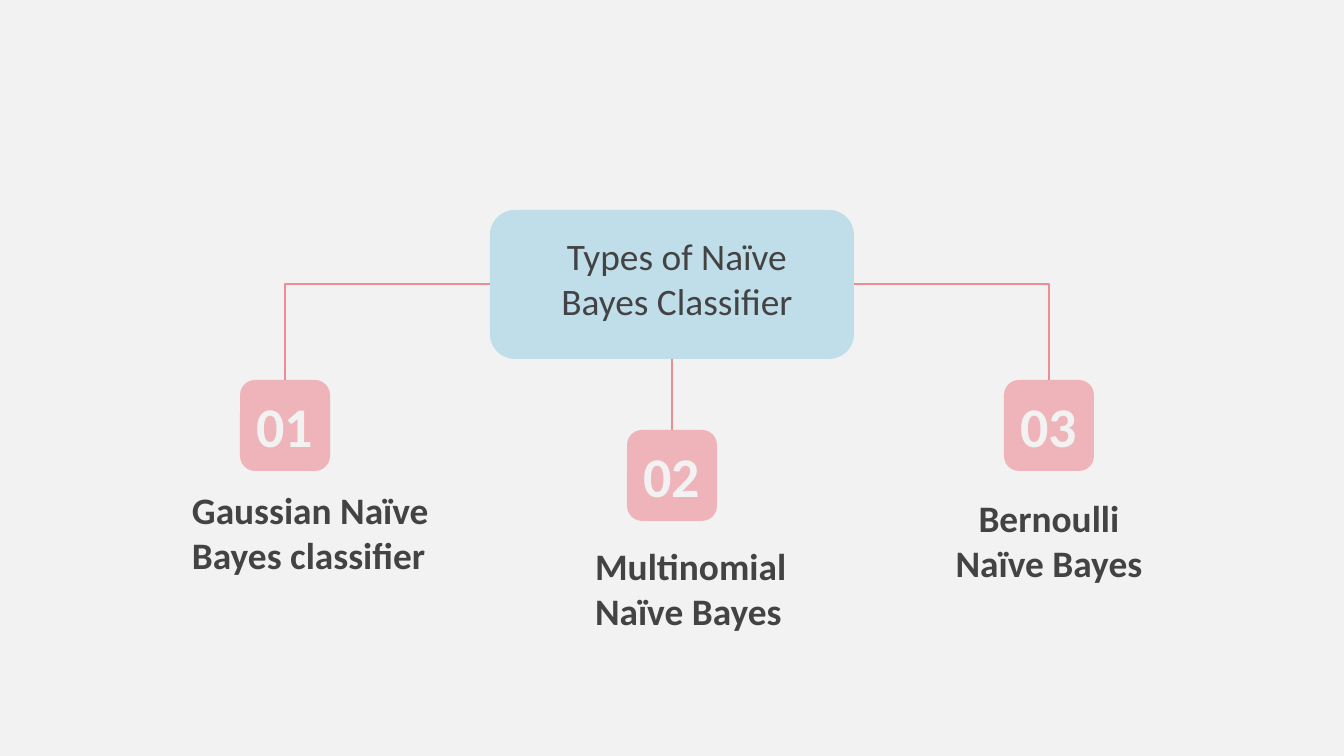
from lxml.etree import SubElement
from pptx import Presentation
from pptx.dml.color import RGBColor
from pptx.enum.shapes import MSO_CONNECTOR as CONN, MSO_SHAPE as SHAPE
from pptx.enum.text import MSO_ANCHOR as ANCHOR, MSO_AUTO_SIZE as AUTO, PP_ALIGN as ALIGN
from pptx.oxml.ns import qn
from pptx.util import Emu, Pt

PAPER = RGBColor(0xF2, 0xF2, 0xF2)
INK = RGBColor(0x43, 0x43, 0x43)
BLUE = RGBColor(0xAE, 0xD7, 0xE8)
PINK = RGBColor(0xEE, 0x8C, 0x94)

ROOT = (490, 210, 364, 149)
BOX_W, BOX_H = 90, 91
BRANCHES = [
    ("01", (240, 380), "Gaussian Naïve Bayes classifier", (-61, 94, 267), ALIGN.LEFT),
    ("02", (627, 430), "Multinomial Naïve Bayes", (-45, 100, 230), ALIGN.LEFT),
    ("03", (1004, 380), "Bernoulli Naïve Bayes", (-70, 102, 230), ALIGN.CENTER),
]


def px(n):
    """Turn px into EMU."""
    return Emu(round(n * 914400 / 134.4))


def write(sp, text, size=20, color=INK, bold=False, align=ALIGN.CENTER, anchor=ANCHOR.TOP):
    """Fill a text holder with one formatted paragraph."""
    tf = sp.text_frame
    tf.word_wrap, tf.auto_size, tf.vertical_anchor = True, AUTO.NONE, anchor
    tf.margin_left = tf.margin_right = tf.margin_top = tf.margin_bottom = px(13)
    p = tf.paragraphs[0]
    p.alignment = align
    r = p.add_run()
    r.text = text
    r.font.name, r.font.size, r.font.bold = "Calibri", Pt(size), bold
    r.font.color.rgb = color


def add_label(s, box, text, **fmt):
    """Add a text box at the given box."""
    write(s.shapes.add_textbox(*map(px, box)), text, **fmt)


def add_card(s, box, color, opacity):
    """Add a translucent rounded rectangle without outline."""
    sp = s.shapes.add_shape(SHAPE.ROUNDED_RECTANGLE, *map(px, box))
    sp.shadow.inherit = False
    sp.fill.solid()
    sp.fill.fore_color.rgb = color
    sp.line.fill.background()
    clr = sp.element.spPr.find(qn("a:solidFill"))[0]
    SubElement(clr, qn("a:alpha"), val=str(opacity * 1000))


def add_link(s, start, end):
    """Join two points, straight down or with one bend."""
    kind = CONN.STRAIGHT if start[0] == end[0] else CONN.ELBOW
    cxn = s.shapes.add_connector(kind, *map(px, (*start, *end)))
    cxn.line.color.rgb, cxn.line.width = PINK, Pt(1.5)
    spPr = cxn.element.spPr
    SubElement(spPr, qn("a:effectLst"))
    if kind == CONN.ELBOW:
        spPr.find(qn("a:prstGeom")).set("prst", "bentConnector2")


def add_root(s, box):
    """Place the central card with the slide title on it."""
    x, y, w, h = box
    add_card(s, box, BLUE, 73)
    title = s.shapes.title
    title.left, title.top, title.width, title.height = map(px, (x + 45, y + 10, w - 80, h - 32))
    write(title, "Types of Naïve Bayes Classifier")
    title.element.getparent().append(title.element)


def add_branch(s, root, number, corner, caption, offset, align):
    """Place a linked number card with its caption."""
    x, y = corner
    dx, dy, caption_w = offset
    left, top, w, h = root
    center = x + BOX_W // 2
    if center < left:
        start = left, top + h // 2
    elif center > left + w:
        start = left + w, top + h // 2
    else:
        start = center, top + h
    add_link(s, start, (center, y))
    add_card(s, (x, y, BOX_W, BOX_H), PINK, 60)
    add_label(s, (x - 21, y + 12, BOX_W + 42, 67), number,
              size=30, color=PAPER, bold=True, anchor=ANCHOR.MIDDLE)
    add_label(s, (x + dx, y + dy, caption_w, 67), caption, bold=True, align=align)


def main():
    """Build the slide and save it."""
    prs = Presentation()
    prs.slide_width, prs.slide_height = px(1344), px(756)
    s = prs.slides.add_slide(prs.slide_layouts[5])
    s.background.fill.solid()
    s.background.fill.fore_color.rgb = PAPER
    add_root(s, ROOT)
    for branch in BRANCHES:
        add_branch(s, ROOT, *branch)
    prs.save("out.pptx")


if __name__ == "__main__":
    main()
